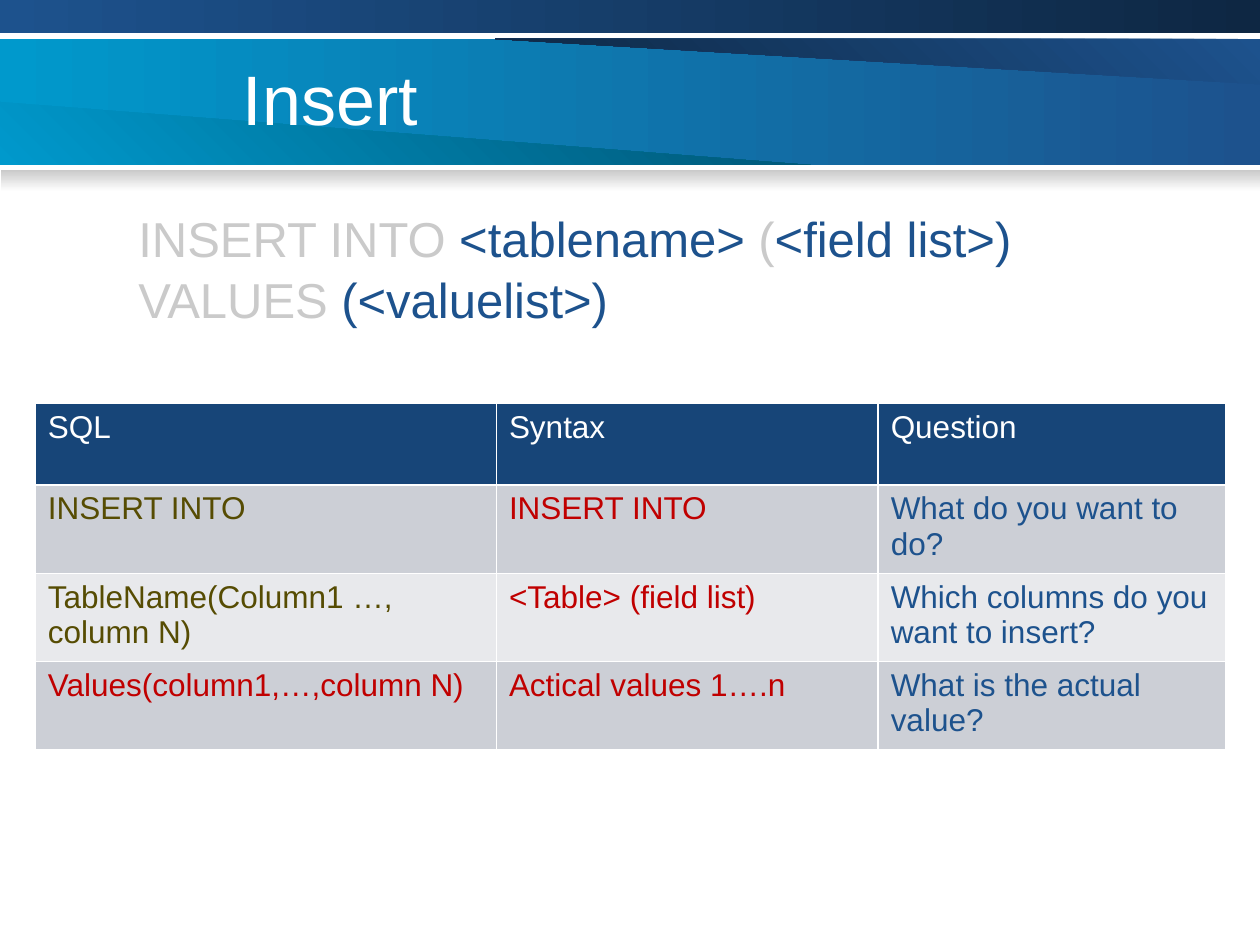
from lxml import etree
from pptx import Presentation
from pptx.dml.color import RGBColor
from pptx.enum.shapes import MSO_SHAPE
from pptx.enum.text import MSO_ANCHOR
from pptx.oxml.ns import qn
from pptx.util import Inches, Pt

RECTANGLE = MSO_SHAPE.RECTANGLE
TOP, MIDDLE = MSO_ANCHOR.TOP, MSO_ANCHOR.MIDDLE
COLORS = {
    "white": "FFFFFF", "blue": "1D528D", "navy": "0E2743", "cyan": "0099CC",
    "teal": "005574", "gray": "CACACA", "header": "174578", "olive": "564C03",
    "red": "C00000", "band": "CCCFD6", "light": "E8E9EC",
}
SYNTAX = [
    ("INSERT INTO", "gray"), (" <tablename> ", "blue"), ("(", "gray"),
    ("<field list>) ", "blue"), ("VALUES", "gray"), (" (<valuelist>)", "blue"),
]
COLUMN_WIDTHS = [3.66, 3.03, 2.76]
ROW_HEIGHT = 0.65
ROWS = [
    ("header", [("SQL", "white"), ("Syntax", "white"), ("Question", "white")]),
    ("band", [("INSERT INTO", "olive"), ("INSERT INTO", "red"),
              ("What do you want to do?", "blue")]),
    ("light", [("TableName(Column1 …, column N)", "olive"), ("<Table> (field list)", "red"),
               ("Which columns do you want to insert?", "blue")]),
    ("band", [("Values(column1,…,column N)", "red"), ("Actical values 1….n", "red"),
              ("What is the actual value?", "blue")]),
]


def rgb(name):
    """Return the named colour."""
    return RGBColor.from_string(COLORS[name])


def paint_gradient(shape, start, end, angle):
    """Fill a shape with a two-colour gradient, without line or shadow."""
    shape.shadow.inherit = False
    shape.line.fill.background()
    shape.fill.gradient()
    shape.fill.gradient_angle = angle
    for stop, name in zip(shape.fill.gradient_stops, (start, end)):
        stop.color.rgb = rgb(name)


def add_bar(page, box, start, end, angle):
    """Add a gradient rectangle in the given box."""
    bar = page.shapes.add_shape(RECTANGLE, *map(Inches, box))
    paint_gradient(bar, start, end, angle)


def add_wedge(page, points, start, end, angle):
    """Add a gradient triangle through the given points."""
    corners = [(Inches(x), Inches(y)) for x, y in points]
    builder = page.shapes.build_freeform(*corners[0], scale=1.0)
    builder.add_line_segments(corners[1:], close=True)
    paint_gradient(builder.convert_to_shape(), start, end, angle)


def add_banner(page, box):
    """Add the title banner with its wedges, top bar and lower shade."""
    left, top, width, height = box
    right, bottom = left + width, top + height
    add_bar(page, box, "cyan", "blue", 0)
    add_wedge(page, [(left + 3.93, top), (right, top + 0.36), (right, top)],
              "blue", "navy", 225)
    add_wedge(page, [(left, bottom - 0.5), (left + 6.43, bottom), (left, bottom)],
              "cyan", "teal", 45)
    add_bar(page, (left, 0, width, top - 0.05), "blue", "navy", 0)
    add_bar(page, (left + 0.01, bottom + 0.04, width - 0.01, 0.17), "gray", "white", 270)


def write_spans(para, spans, size):
    """Write coloured runs into a paragraph."""
    for text, color in spans:
        span = para.add_run()
        span.text = text
        for key, value in {"name": "Arial", "size": Pt(size)}.items():
            setattr(span.font, key, value)
        span.font.color.rgb = rgb(color)


def add_text(page, box, spans, size, anchor=TOP, indent=0, spacing=1.0):
    """Add a wrapped text box holding one paragraph."""
    frame = page.shapes.add_textbox(*map(Inches, box)).text_frame
    for key, value in {"word_wrap": True, "vertical_anchor": anchor}.items():
        setattr(frame, key, value)
    para = frame.paragraphs[0]
    para.line_spacing = spacing
    if indent:
        properties = para._p.get_or_add_pPr()
        properties.set("marL", str(Inches(indent)))
        properties.set("indent", "0")
    write_spans(para, spans, size)


def add_borders(cell, color, width):
    """Draw a line on all four sides of a cell."""
    properties = cell._tc.get_or_add_tcPr()
    for side in ("lnL", "lnR", "lnT", "lnB"):
        line = etree.SubElement(properties, qn(f"a:{side}"), w=str(Pt(width)))
        fill = etree.SubElement(line, qn("a:solidFill"))
        etree.SubElement(fill, qn("a:srgbClr"), val=COLORS[color])


def add_clause_table(page, left, top):
    """Add the table of clauses with its top left corner at the given point."""
    box = (left, top, sum(COLUMN_WIDTHS), ROW_HEIGHT * len(ROWS))
    table = page.shapes.add_table(len(ROWS), len(COLUMN_WIDTHS), *map(Inches, box)).table
    for column, width in zip(table.columns, COLUMN_WIDTHS):
        column.width = Inches(width)
    for row, (fill, entries) in zip(table.rows, ROWS):
        row.height = Inches(ROW_HEIGHT)
        for cell, entry in zip(row.cells, entries):
            add_borders(cell, "white", 1)
            cell.fill.solid()
            cell.fill.fore_color.rgb = rgb(fill)
            write_spans(cell.text_frame.paragraphs[0], [entry], 18)


def main():
    """Build the slide and save the deck."""
    deck = Presentation()
    deck.slide_width, deck.slide_height = Inches(10), Inches(7.5)
    page = deck.slides.add_slide(deck.slide_layouts[6])
    add_banner(page, (0, 0.31, 10, 1))
    add_text(page, (1.83, 0.3, 7.25, 0.95), [("Insert", "white")], 40, anchor=MIDDLE)
    add_text(page, (0.5, 1.58, 9, 5.41), SYNTAX, 28, indent=0.5, spacing=1.05)
    add_clause_table(page, 0.28, 3.2)
    deck.save("out.pptx")


if __name__ == "__main__":
    main()
